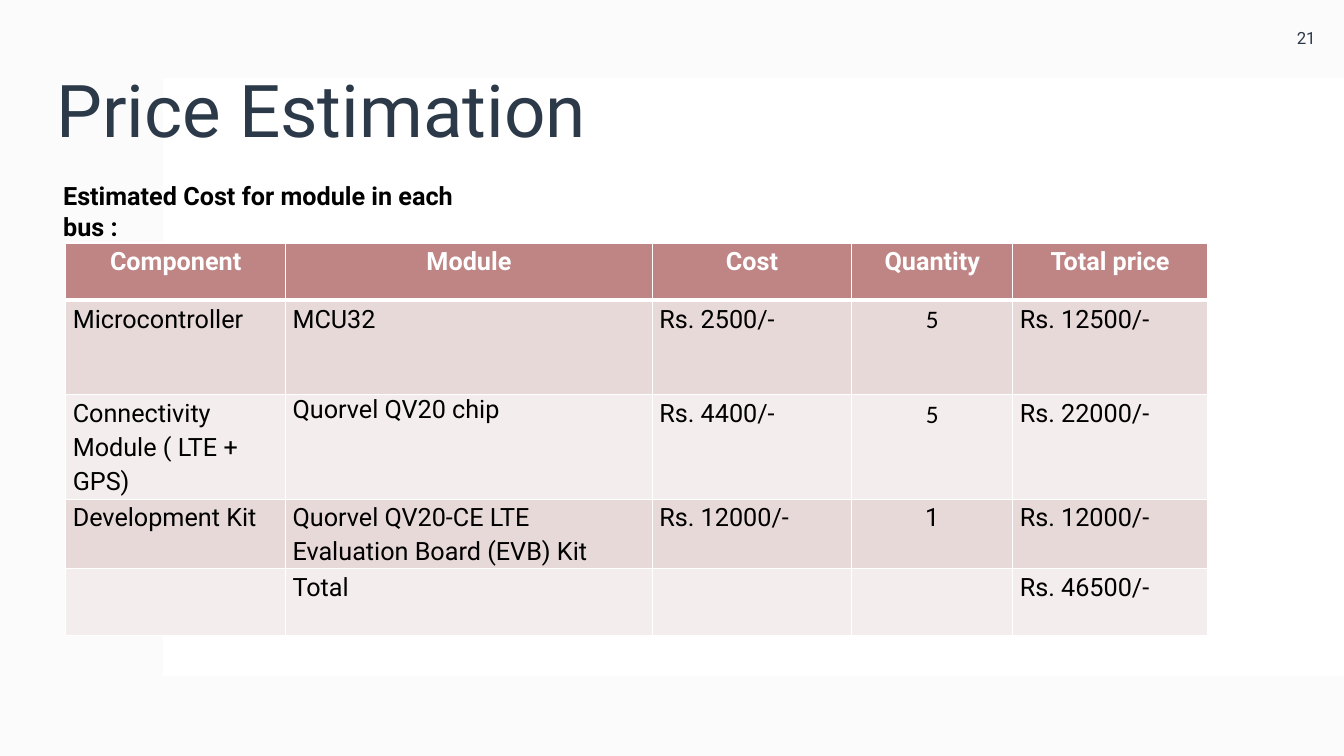
from lxml import etree
from pptx import Presentation
from pptx.dml.color import RGBColor
from pptx.enum.shapes import MSO_SHAPE
from pptx.enum.text import MSO_ANCHOR, MSO_AUTO_SIZE, PP_ALIGN
from pptx.oxml.ns import qn
from pptx.util import Pt

RECTANGLE = MSO_SHAPE.RECTANGLE
MIDDLE, TOP = MSO_ANCHOR.MIDDLE, MSO_ANCHOR.TOP
NO_FIT = MSO_AUTO_SIZE.NONE
LEFT, CENTER = PP_ALIGN.LEFT, PP_ALIGN.CENTER

# Content
TITLE = "Price Estimation"
PAGE_NUMBER = "21"
CAPTION = "Estimated Cost for module in each bus :"
PRICES = [
    ["Component", "Module", "Cost", "Quantity", "Total price"],
    ["Microcontroller", "MCU32", "Rs. 2500/-", "5", "Rs. 12500/-"],
    ["Connectivity Module ( LTE + GPS)", "Quorvel QV20 chip", "Rs. 4400/-", "5", "Rs. 22000/-"],
    ["Development Kit", "Quorvel QV20-CE LTE Evaluation Board (EVB) Kit",
     "Rs. 12000/-", "1", "Rs. 12000/-"],
    ["", "Total", "", "", "Rs. 46500/-"],
]

# Look and layout, in points
COLORS = {"haze": "F4F4F4", "white": "FFFFFF", "navy": "2C3948", "black": "000000",
          "header": "BF8484", "odd": "E8D9D9", "even": "F4EDED"}
FONT = "Roboto"
COLUMN_WIDTHS = [157, 262, 142.5, 115, 139]
ROW_HEIGHTS = [41, 67.5, 50.5, 29.5, 47.5]
QUANTITY = 3
SINGLE_SPACED = (2, 1)
CALIBRI_CELLS = [(1, QUANTITY), (2, QUANTITY)]


def rgb(name):
    return RGBColor.from_string(COLORS[name])


def style(para, size, color, bold=False, align=LEFT, font=FONT):
    para.alignment = align
    para.font.name = font
    para.font.size = Pt(size)
    para.font.bold = bold
    para.font.color.rgb = rgb(color)


def add_panel(left, top, width, height, color):
    panel = page.shapes.add_shape(RECTANGLE, Pt(left), Pt(top), Pt(width), Pt(height))
    panel.shadow.inherit = False
    panel.fill.solid()
    panel.fill.fore_color.rgb = rgb(color)
    panel.line.fill.background()
    return panel


def add_text(text, left, top, width, height, anchor):
    box = page.shapes.add_textbox(Pt(left), Pt(top), Pt(width), Pt(height))
    box.text_frame.word_wrap = True
    box.text_frame.vertical_anchor = anchor
    box.text_frame.text = text
    return box.text_frame.paragraphs[0]


def set_borders(cell, top, bottom):
    properties = cell._tc.get_or_add_tcPr()
    sides = [("a:lnL", 1), ("a:lnR", 1), ("a:lnT", top), ("a:lnB", bottom)]
    for position, (tag, width) in enumerate(sides):
        line = etree.Element(qn(tag), w=str(Pt(width)))
        fill = etree.SubElement(line, qn("a:solidFill"))
        etree.SubElement(fill, qn("a:srgbClr"), val=COLORS["white"])
        properties.insert(position, line)


deck = Presentation()
deck.slide_width, deck.slide_height = Pt(960), Pt(540)
page = deck.slides.add_slide(deck.slide_layouts[5])

# Background panels
haze = add_panel(0, 0, 960, 540, "haze")
color_node = haze.fill._xPr.find(qn("a:solidFill"))[0]
etree.SubElement(color_node, qn("a:alpha"), val="35000")
add_panel(116.5, 56, 843.5, 427, "white")

# Title, brought in front of the panels
title = page.shapes.title
page.shapes._spTree.append(title._element)
title.left, title.top, title.width, title.height = Pt(33), Pt(29), Pt(830), Pt(104.5)
title.text_frame.text = TITLE
title.text_frame.auto_size = NO_FIT
title.text_frame.vertical_anchor = MIDDLE
title_para = title.text_frame.paragraphs[0]
title_para.line_spacing = 0.9
style(title_para, 52, "navy")

# Page number
style(add_text(PAGE_NUMBER, 906, 0, 54, 54, MIDDLE), 12, "navy", align=CENTER)

# Price table
table = page.shapes.add_table(len(PRICES), len(COLUMN_WIDTHS), Pt(47), Pt(173.5),
                              Pt(sum(COLUMN_WIDTHS)), Pt(sum(ROW_HEIGHTS))).table
for column, width in zip(table.columns, COLUMN_WIDTHS):
    column.width = Pt(width)
for r, (row, height) in enumerate(zip(PRICES, ROW_HEIGHTS)):
    table.rows[r].height = Pt(height)
    is_header = r == 0
    for c, text in enumerate(row):
        cell = table.cell(r, c)
        cell.margin_left = cell.margin_right = Pt(5)
        cell.margin_top = cell.margin_bottom = 0
        cell.fill.solid()
        cell.fill.fore_color.rgb = rgb("header" if is_header else "odd" if r % 2 else "even")
        set_borders(cell, 3 if r == 1 else 1, 3 if is_header else 1)
        cell.text = text
        para = cell.text_frame.paragraphs[0]
        if (r, c) != SINGLE_SPACED:
            para.line_spacing = 1.15
            para.space_after = Pt(10)
        style(para, 18, "white" if is_header else "black", is_header,
              CENTER if is_header or c == QUANTITY else LEFT,
              "Calibri" if (r, c) in CALIBRI_CELLS else FONT)

# Table caption
style(add_text(CAPTION, 38, 125.5, 297.5, 29, TOP), 18, "black", bold=True)

deck.save("out.pptx")
